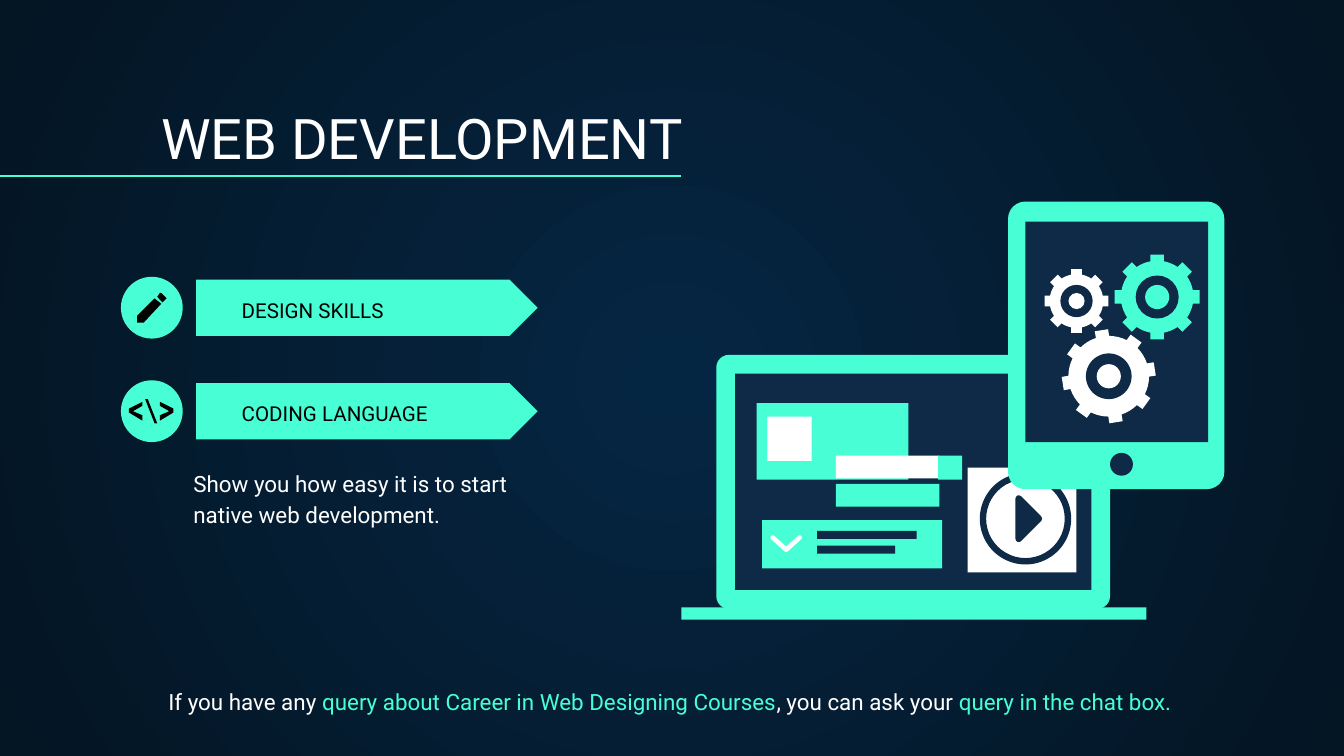
from math import cos, sin, radians, asin, degrees
from lxml import etree
from pptx import Presentation
from pptx.dml.color import RGBColor
from pptx.enum.shapes import MSO_CONNECTOR, MSO_SHAPE as SH
from pptx.enum.text import MSO_ANCHOR as ANCHOR, PP_ALIGN as ALIGN
from pptx.oxml import parse_xml
from pptx.oxml.ns import nsdecls, qn
from pptx.util import Inches, Pt

MINT = RGBColor(0x48, 0xFF, 0xD5)
NAVY = RGBColor(0x0E, 0x2A, 0x47)
WHITE = RGBColor(0xFF, 0xFF, 0xFF)
BLACK = RGBColor(0, 0, 0)
GLOW = RGBColor(0x05, 0x26, 0x43)
EDGE = RGBColor(0x04, 0x15, 0x23)

prs = Presentation()
prs.slide_width, prs.slide_height = Inches(10), Inches(10 * 9 / 16)
s = prs.slides.add_slide(prs.slide_layouts[6])
s.element.cSld.insert(0, parse_xml(
    f'<p:bg {nsdecls("p", "a")}><p:bgPr><a:gradFill><a:gsLst>'
    f'<a:gs pos="0"><a:srgbClr val="{GLOW}"/></a:gs>'
    f'<a:gs pos="100000"><a:srgbClr val="{EDGE}"/></a:gs></a:gsLst>'
    '<a:path path="circle"><a:fillToRect l="50000" t="50000" r="50000" b="50000"/></a:path>'
    '</a:gradFill><a:effectLst/></p:bgPr></p:bg>'))


def shape(kind, x, y, w, h, color, adj=None):
    sp = s.shapes.add_shape(kind, Inches(x), Inches(y), Inches(w), Inches(h))
    sp.shadow.inherit = False
    sp.fill.solid()
    sp.fill.fore_color.rgb = color
    sp.line.fill.background()
    if adj is not None:
        sp.adjustments[0] = adj
    return sp


def outline(points, color, width=0, close=True):
    pts = [(Inches(x), Inches(y)) for x, y in points]
    fb = s.shapes.build_freeform(*pts[0])
    fb.add_line_segments(pts[1:], close=close)
    sp = fb.convert_to_shape()
    sp.shadow.inherit = False
    if close:
        sp.fill.solid()
        sp.fill.fore_color.rgb = color
    else:
        sp.fill.background()
    if width:
        sp.line.color.rgb = color
        sp.line.width = Pt(width)
        ln = sp.line._get_or_add_ln()
        ln.set("cap", "rnd")
        etree.SubElement(ln, qn("a:round"))
    else:
        sp.line.fill.background()


for y in (2.08, 2.85):
    shape(SH.PENTAGON, 1.46, y, 2.54, 0.42, MINT, 0.5)
    shape(SH.OVAL, 0.9, y - 0.02, 0.46, 0.46, MINT)

rule = s.shapes.add_connector(MSO_CONNECTOR.STRAIGHT, 0, Inches(1.31), Inches(5.07), Inches(1.31))
rule.line.color.rgb = MINT
rule.line.width = Pt(0.75)
etree.SubElement(rule._element.spPr, qn("a:effectLst"))

icons = [
    [(1.15, 2.22), (1.02, 2.35), (1.02, 2.4), (1.07, 2.4), (1.2, 2.26)],
    [(1.19, 2.18), (1.17, 2.21), (1.21, 2.25), (1.23, 2.23), (1.24, 2.22), (1.23, 2.21), (1.2, 2.18)],
    [(1.06, 3.13), (0.96, 3.07), (0.96, 3.04), (1.06, 2.99), (1.06, 3.02), (0.99, 3.06), (1.06, 3.09)],
    [(1.15, 3.15), (1.08, 2.97), (1.1, 2.97), (1.17, 3.15)],
    [(1.19, 3.13), (1.19, 3.09), (1.26, 3.06), (1.19, 3.02), (1.19, 2.99), (1.29, 3.04), (1.29, 3.07)],
]
for points in icons:
    outline(points, BLACK)

shape(SH.ROUNDED_RECTANGLE, 5.33, 2.64, 2.93, 1.89, MINT, 0.05)
laptop = [
    (5.47, 2.78, 2.65, 1.61, NAVY),
    (5.07, 4.52, 3.46, 0.09, MINT),
    (5.63, 3, 1.13, 0.57, MINT),
    (5.71, 3.1, 0.33, 0.33, WHITE),
    (5.67, 3.87, 1.34, 0.36, MINT),
    (6.08, 3.95, 0.74, 0.06, NAVY),
    (6.08, 4.06, 0.58, 0.06, NAVY),
    (6.22, 3.6, 0.77, 0.17, MINT),
    (6.22, 3.39, 0.77, 0.17, WHITE),
    (6.98, 3.39, 0.18, 0.18, MINT),
    (7.2, 3.48, 0.81, 0.78, WHITE),
]
for x, y, w, h, color in laptop:
    shape(SH.RECTANGLE, x, y, w, h, color)
outline([(5.75, 4), (5.85, 4.09), (5.95, 4)], WHITE, 2.5, close=False)
shape(SH.DONUT, 7.29, 3.52, 0.68, 0.68, NAVY, 0.07)
outline([(7.58, 3.71), (7.58, 4.01), (7.73, 3.86)], NAVY, 3.5)

shape(SH.ROUNDED_RECTANGLE, 7.5, 1.5, 1.61, 2.14, MINT, 0.08)
shape(SH.RECTANGLE, 7.63, 1.65, 1.36, 1.64, NAVY)
shape(SH.OVAL, 8.26, 3.37, 0.17, 0.17, NAVY)

gears = [
    (8.61, 2.21, 0.32, 0.27, 0.05, 0.16, 0.09, 0, MINT),
    (8.01, 2.24, 0.24, 0.2, 0.04, 0.12, 0.06, 0, WHITE),
    (8.25, 2.8, 0.35, 0.3, 0.05, 0.17, 0.09, -9, WHITE),
]
for cx, cy, tip, body, half, ring, hub, turn, color in gears:
    inner, outer = degrees(asin(half / body)), degrees(asin(half / tip))
    gap = 45 - 2 * inner
    polar = []
    for tooth in range(8):
        mid = 45 * tooth + turn
        polar += [(body, mid - inner), (tip, mid - outer), (tip, mid + outer)]
        polar += [(body, mid + inner + gap * k / 4) for k in range(4)]
    outline([(cx + r * sin(radians(a)), cy - r * cos(radians(a))) for r, a in polar], color)
    for radius, tone in ((ring, NAVY), (hub, color)):
        shape(SH.OVAL, cx - radius, cy - radius, 2 * radius, 2 * radius, tone)

texts = [
    (1.1, 0.71, 8.57, 0.66, 30, ANCHOR.BOTTOM, ALIGN.LEFT, 1, [("WEB DEVELOPMENT", WHITE)]),
    (1.7, 2.28, 2.27, 0.21, 11, ANCHOR.BOTTOM, ALIGN.LEFT, 1, [("DESIGN SKILLS", BLACK)]),
    (1.7, 3.05, 2.27, 0.21, 11, ANCHOR.BOTTOM, ALIGN.LEFT, 1, [("CODING LANGUAGE", BLACK)]),
    (0.95, 4.99, 8.07, 0.8, 12, ANCHOR.TOP, ALIGN.CENTER, 1.15,
     [("If you have any ", WHITE), ("query about Career in Web Designing Courses", MINT),
      (", you can ask your ", WHITE), ("query in the chat box.", MINT)]),
    (1.34, 3.37, 2.93, 0.8, 12, ANCHOR.TOP, ALIGN.LEFT, 1.15,
     [("Show you how easy it is to start native web development.", WHITE)]),
]
for x, y, w, h, size, anchor, align, spacing, runs in texts:
    tf = s.shapes.add_textbox(Inches(x), Inches(y), Inches(w), Inches(h)).text_frame
    tf.word_wrap = True
    tf.vertical_anchor = anchor
    tf.margin_left = tf.margin_right = tf.margin_top = tf.margin_bottom = Inches(0.1)
    p = tf.paragraphs[0]
    p.alignment = align
    p.line_spacing = spacing
    for text, color in runs:
        r = p.add_run()
        r.text = text
        r.font.name = "Roboto"
        r.font.size = Pt(size)
        r.font.color.rgb = color

prs.save("out.pptx")
